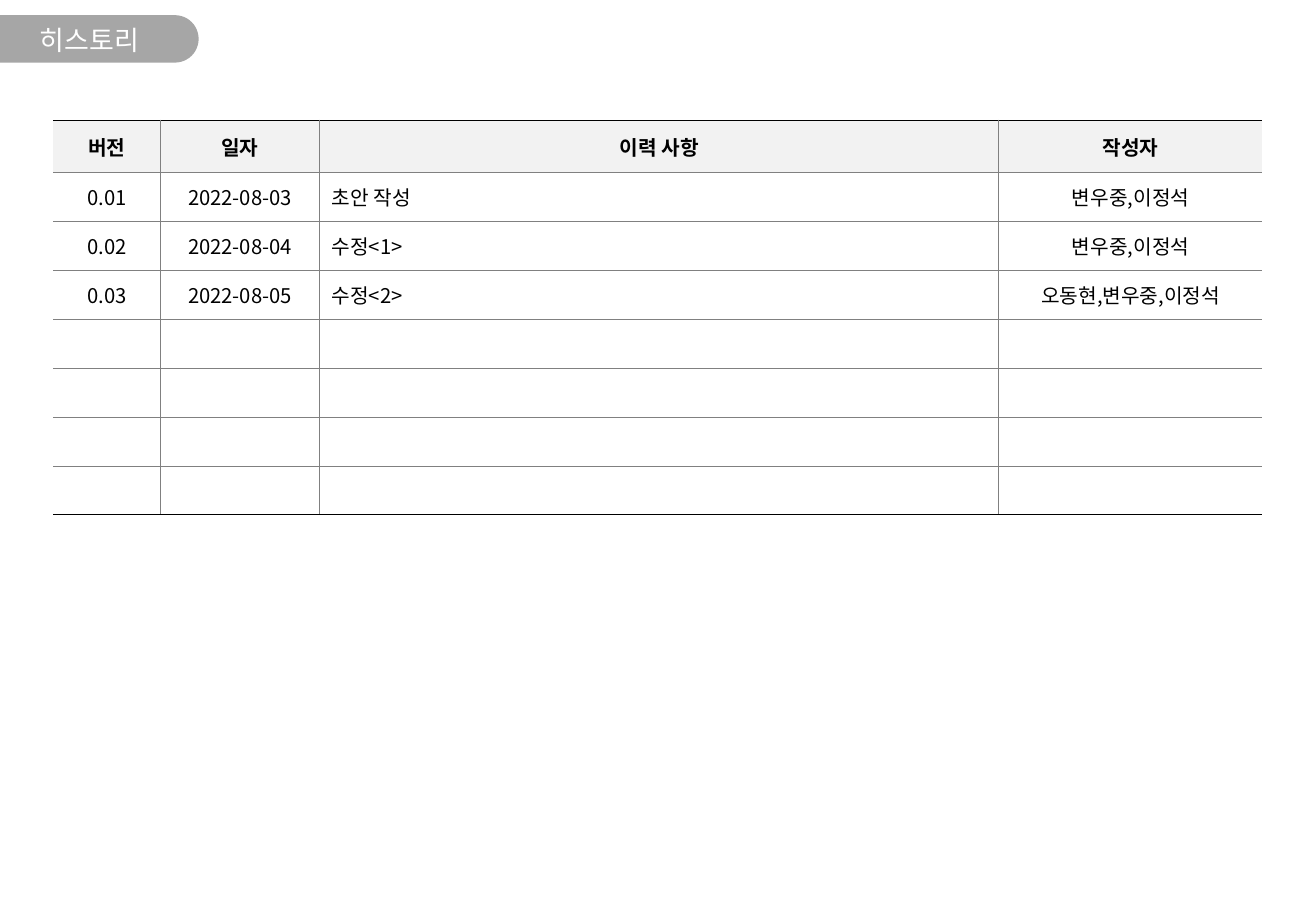
from pptx import Presentation
from pptx import util as u
from pptx.dml.color import RGBColor
from pptx.enum import shapes, text
from pptx.oxml.ns import qn
from lxml import etree

FONT = "Noto Sans CJK KR"
BLACK = RGBColor(0x00, 0x00, 0x00)
WHITE = RGBColor(0xFF, 0xFF, 0xFF)
GRAY = RGBColor(0x80, 0x80, 0x80)
TAB_GRAY = RGBColor(0xA6, 0xA6, 0xA6)
HEADER_GRAY = RGBColor(0xF2, 0xF2, 0xF2)

HISTORY = [
    ("버전", "일자", "이력 사항", "작성자"),
    ("0.01", "2022-08-03", "초안 작성", "변우중,이정석"),
    ("0.02", "2022-08-04", "수정<1>", "변우중,이정석"),
    ("0.03", "2022-08-05", "수정<2>", "오동현,변우중,이정석"),
] + [("", "", "", "")] * 4
COLUMN_WIDTHS = (0.88, 1.31, 5.59, 2.17)
HEADER_HEIGHT = 0.43
TABLE_HEIGHT = 3.25
NOTE_COLUMN = 2


def write(frame, words, size=12, color=BLACK, bold=False, align=text.PP_ALIGN.CENTER):
    paragraph = frame.paragraphs[0]
    paragraph.alignment = align
    if not words:
        end = etree.SubElement(paragraph._p, qn("a:endParaRPr"))
        end.set("sz", str(size * 100))
        return
    run = paragraph.add_run()
    run.text = words
    run.font.size = u.Pt(size)
    run.font.bold = bold
    run.font.color.rgb = color
    run.font.name = FONT
    east_asian = etree.SubElement(run._r.get_or_add_rPr(), qn("a:ea"))
    east_asian.set("typeface", FONT)


def add_border(cell, side, color, width):
    line = etree.SubElement(cell._tc.get_or_add_tcPr(), qn(f"a:ln{side}"))
    if color is None:
        etree.SubElement(line, qn("a:noFill"))
        return
    line.set("w", str(u.Pt(width)))
    fill = etree.SubElement(line, qn("a:solidFill"))
    etree.SubElement(fill, qn("a:srgbClr")).set("val", str(color))


def add_borders(cell, row, column):
    inner, edge, open_side = (GRAY, 0.5), (BLACK, 0.75), (None, 0)
    last_row, last_column = len(HISTORY) - 1, len(COLUMN_WIDTHS) - 1
    add_border(cell, "L", *(open_side if column == 0 else inner))
    add_border(cell, "R", *(open_side if column == last_column else inner))
    add_border(cell, "T", *(edge if row == 0 else inner))
    add_border(cell, "B", *(edge if row == last_row else inner))


def fill_cell(cell, words, row, column):
    is_header = row == 0
    add_borders(cell, row, column)
    if is_header:
        cell.fill.solid()
        cell.fill.fore_color.rgb = HEADER_GRAY
    else:
        cell.fill.background()
    cell.vertical_anchor = text.MSO_ANCHOR.MIDDLE
    is_note = column == NOTE_COLUMN and not is_header
    align = text.PP_ALIGN.LEFT if is_note else text.PP_ALIGN.CENTER
    write(cell.text_frame, words, bold=is_header, align=align)


def add_history(slide):
    history = slide.shapes.add_table(
        len(HISTORY), len(COLUMN_WIDTHS), u.Inches(0.44), u.Inches(0.99),
        u.Inches(sum(COLUMN_WIDTHS)), u.Inches(TABLE_HEIGHT)).table
    history.first_row = False
    history.horz_banding = False
    for column, width in zip(history.columns, COLUMN_WIDTHS):
        column.width = u.Inches(width)
    entry_height = (TABLE_HEIGHT - HEADER_HEIGHT) / (len(HISTORY) - 1)
    for row, entry in enumerate(HISTORY):
        history.rows[row].height = u.Inches(entry_height if row else HEADER_HEIGHT)
        for column, words in enumerate(entry):
            fill_cell(history.cell(row, column), words, row, column)


def add_title_tab(slide):
    tab = slide.shapes.add_shape(
        shapes.MSO_SHAPE.ROUND_2_SAME_RECTANGLE,
        u.Inches(0.62), u.Inches(-0.5), u.Inches(0.39), u.Inches(1.64))
    tab.rotation = 270
    tab.adjustments[0] = 0
    tab.adjustments[1] = 0.5
    tab.shadow.inherit = False
    tab.fill.solid()
    tab.fill.fore_color.rgb = TAB_GRAY
    tab.line.fill.background()


def add_title(slide):
    title = slide.shapes.add_textbox(
        u.Inches(-0.01), u.Inches(0.13), u.Inches(1.49), u.Inches(0.39))
    title.text_frame.word_wrap = True
    title.text_frame.vertical_anchor = text.MSO_ANCHOR.MIDDLE
    write(title.text_frame, "히스토리", size=16, color=WHITE)


def main():
    deck = Presentation()
    deck.slide_width = u.Inches(10.83)
    deck.slide_height = u.Inches(7.5)
    slide = deck.slides.add_slide(deck.slide_layouts[6])
    add_title_tab(slide)
    add_history(slide)
    add_title(slide)
    deck.save("out.pptx")


if __name__ == "__main__":
    main()
